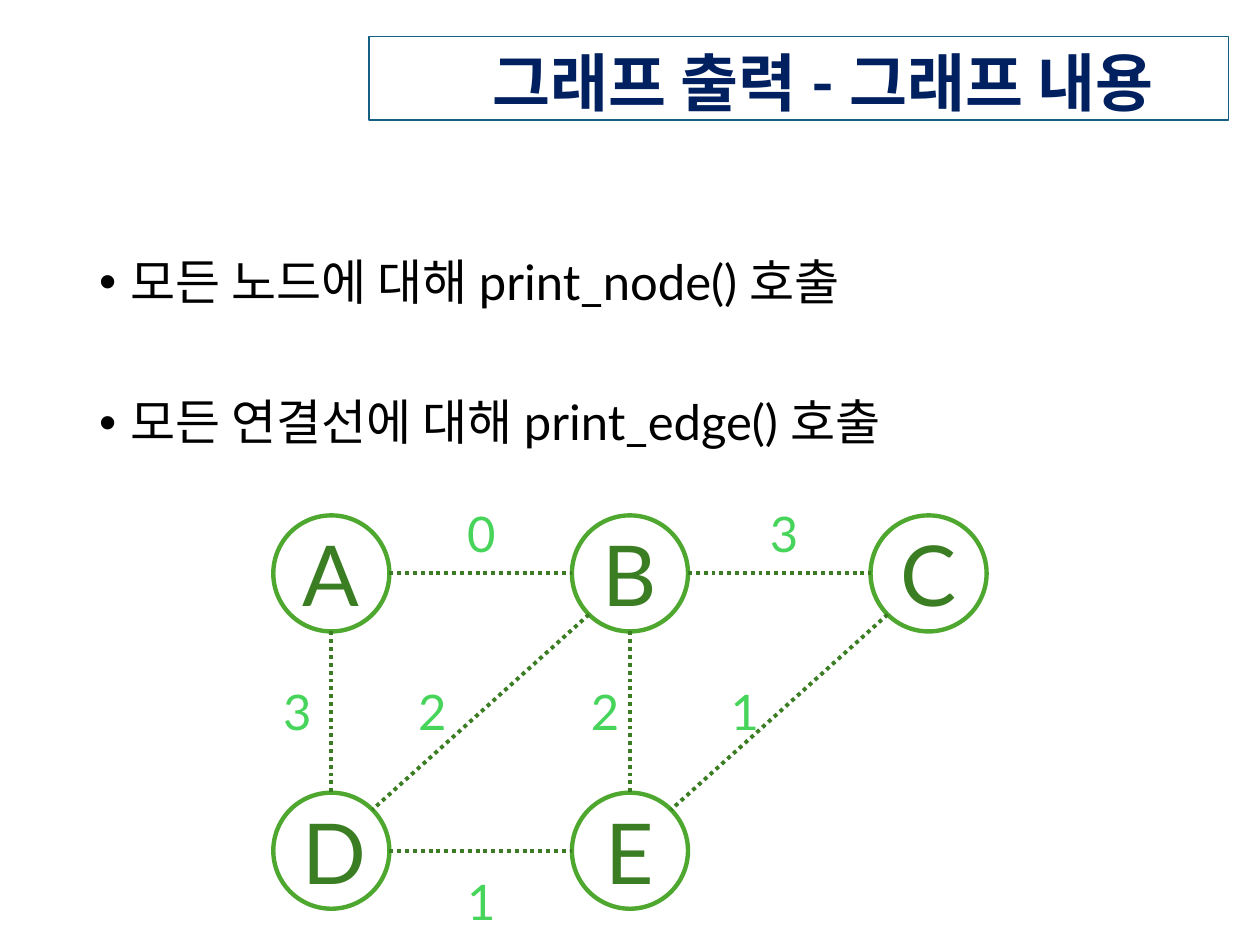
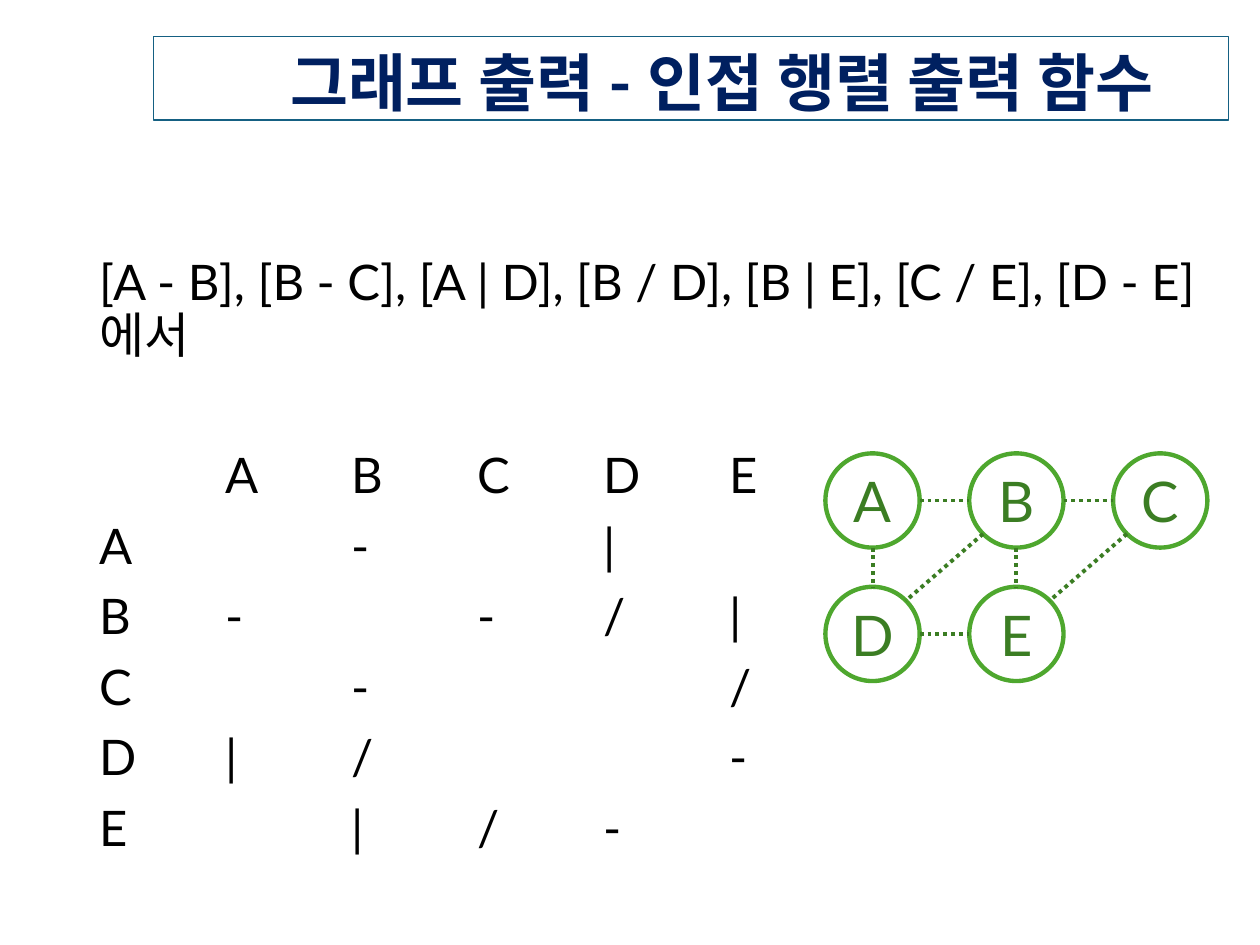
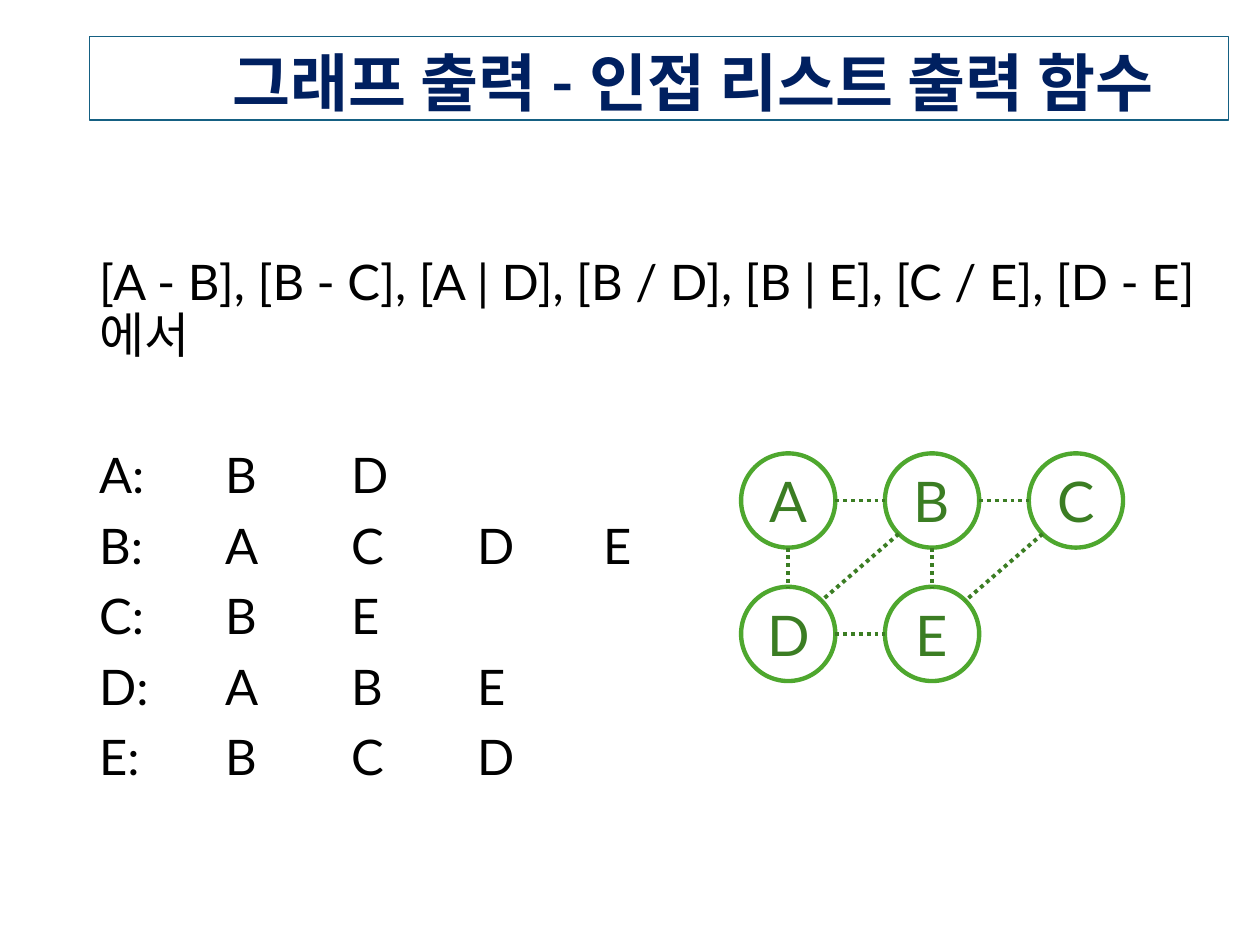
from math import hypot

from lxml.etree import SubElement
from pptx import Presentation
from pptx.dml.color import RGBColor
from pptx.enum.dml import MSO_LINE
from pptx.enum.shapes import MSO_CONNECTOR, MSO_SHAPE
from pptx.enum.text import MSO_ANCHOR, PP_ALIGN
from pptx.oxml.ns import qn
from pptx.util import Cm, Pt

FONT = "Lato"
BLACK = RGBColor(0x00, 0x00, 0x00)
WHITE = RGBColor(0xFF, 0xFF, 0xFF)
NAVY = RGBColor(0x00, 0x20, 0x60)
TEAL = RGBColor(0x15, 0x60, 0x82)
GREEN = RGBColor(0x4E, 0xA7, 0x2E)
DARK = RGBColor(0x3B, 0x7D, 0x23)
LIGHT = RGBColor(0x47, 0xD4, 0x5A)

NODES = {"A": (0, 0), "B": (1, 0), "C": (2, 0), "D": (0, 1), "E": (1, 1)}
EDGES = ["AB", "BC", "DE", "AD", "BE", "BD", "CE"]
COSTS = [
    ("1", 9.17, 17.45),
    ("3", 5.46, 13.61),
    ("2", 8.18, 13.61),
    ("2", 11.66, 13.61),
    ("1", 14.48, 13.61),
    ("0", 9.17, 10.03),
    ("3", 15.27, 10.03),
]
LINKS = "[A - B], [B - C], [A | D], [B / D], [B | E], [C / E], [D - E] 에서"
CALLS = ["모든 노드에 대해 print_node() 호출", "모든 연결선에 대해 print_edge() 호출"]
MATRIX = [
    LINKS,
    "\tA\tB\tC\tD\tE",
    "A\t\t-\t\t|",
    "B\t-\t\t-\t/\t|",
    "C\t\t-\t\t\t/",
    "D\t|\t/\t\t\t-",
    "E\t\t|\t/\t-",
]
LISTS = [LINKS, "A:\tB\tD", "B:\tA\tC\tD\tE", "C:\tB\tE", "D:\tA\tB\tE", "E:\tB\tC\tD"]


def write(para, text, size=28, color=BLACK, bold=False, align=PP_ALIGN.LEFT, lead=1.0, gap=0):
    """Fill a paragraph with one formatted run."""
    para.alignment = align
    para.line_spacing = lead
    para.space_before = Pt(gap)
    run = para.add_run()
    run.text = text
    font = run.font
    font.name, font.size, font.bold = FONT, Pt(size), bold
    font.color.rgb = color


class Deck:
    """Hold the shared style and the current slide."""

    def __init__(self):
        """Start an empty deck of 4:3 slides."""
        self.file = Presentation()
        self.file.slide_width, self.file.slide_height = Cm(25.4), Cm(19.05)
        self.slide = None

    def page(self, title, left):
        """Add a slide whose framed title runs from left to the shared right edge."""
        self.slide = self.file.slides.add_slide(self.file.slide_layouts[6])
        box = self.box(left, 0.74, 24.76 - left, 1.68)
        box.line.color.rgb, box.line.width = TEAL, Pt(0.75)
        frame = box.text_frame
        frame.vertical_anchor = MSO_ANCHOR.MIDDLE
        frame.margin_left = frame.margin_right = Cm(1.5)
        frame.margin_top, frame.margin_bottom = Cm(0.3), 0
        write(frame.paragraphs[0], title, size=36, color=NAVY, bold=True,
              align=PP_ALIGN.RIGHT, lead=0.9)

    def box(self, left, top, width, height, wrap=True):
        """Add an empty text box."""
        box = self.slide.shapes.add_textbox(Cm(left), Cm(top), Cm(width), Cm(height))
        box.text_frame.word_wrap = wrap
        return box

    def body(self, rows, dots=False):
        """Add the main text, with a wide gap after its first row."""
        frame = self.box(1.75, 5.08, 23.65, 12.09).text_frame
        for pos, row in enumerate(rows):
            para = frame.add_paragraph() if pos else frame.paragraphs[0]
            write(para, row, lead=0.9, gap=50 if pos == 1 else 10)
            if dots:
                self.dot(para)
            elif "\t" in row:
                self.stops(para)

    def dot(self, para):
        """Give a paragraph a hanging bullet."""
        props = para._p.get_or_add_pPr()
        props.set("marL", str(Cm(0.64)))
        props.set("indent", str(-Cm(0.64)))
        SubElement(props, qn("a:buFont"), typeface="Arial")
        SubElement(props, qn("a:buChar"), char="•")

    def stops(self, para):
        """Set five equal tab stops."""
        tabs = SubElement(para._p.get_or_add_pPr(), qn("a:tabLst"))
        for col in range(1, 6):
            SubElement(tabs, qn("a:tab"), pos=str(Cm(2.54 * col)), algn="l")

    def node(self, name, left, top, size, font):
        """Add a named circle."""
        ring = self.slide.shapes.add_shape(
            MSO_SHAPE.OVAL, Cm(left), Cm(top), Cm(size), Cm(size))
        ring.shadow.inherit = False
        ring.fill.solid()
        ring.fill.fore_color.rgb = WHITE
        ring.line.color.rgb, ring.line.width = GREEN, Pt(2.5)
        ring.text_frame.vertical_anchor = MSO_ANCHOR.MIDDLE
        write(ring.text_frame.paragraphs[0], name, size=font, color=DARK,
              align=PP_ALIGN.CENTER)

    def edge(self, *ends):
        """Add a dotted line given x1, y1, x2, y2."""
        line = self.slide.shapes.add_connector(
            MSO_CONNECTOR.STRAIGHT, *[Cm(end) for end in ends])
        line.line.color.rgb, line.line.width = DARK, Pt(2.25)
        line.line.dash_style = MSO_LINE.ROUND_DOT
        SubElement(line._element.spPr, qn("a:effectLst"))

    def graph(self, left, top, size, wide, high, font):
        """Draw all nodes on a grid and join them rim to rim."""
        for name, (col, row) in NODES.items():
            self.node(name, left + col * wide, top + row * high, size, font)
        half = size / 2
        for one, two in EDGES:
            (col, row), (to_col, to_row) = NODES[one], NODES[two]
            run, rise = to_col - col, to_row - row
            part = half / hypot(run, rise)
            x, y = left + half + col * wide, top + half + row * high
            self.edge(x + run * part, y + rise * part,
                      x + run * (wide - part), y + rise * (high - part))

    def cost(self, text, left, top):
        """Add the number of one edge."""
        frame = self.box(left, top, 1.04, 1.45, wrap=False).text_frame
        write(frame.paragraphs[0], text, color=LIGHT)


def main():
    """Build the three slides."""
    deck = Deck()
    deck.page("그래프 출력 - 그래프 내용", 7.44)
    deck.body(CALLS, dots=True)
    deck.graph(5.51, 10.39, 2.34, 6.02, 5.59, 48)
    for item in COSTS:
        deck.cost(*item)

    for title, edge, rows, left in [
        ("그래프 출력 - 인접 행렬 출력 함수", 3.1, MATRIX, 16.64),
        ("그래프 출력 - 인접 리스트 출력 함수", 1.8, LISTS, 14.94),
    ]:
        deck.page(title, edge)
        deck.body(rows)
        deck.graph(left, 9.14, 1.9, 2.9, 2.69, 32)
    deck.file.save("out.pptx")


if __name__ == "__main__":
    main()
